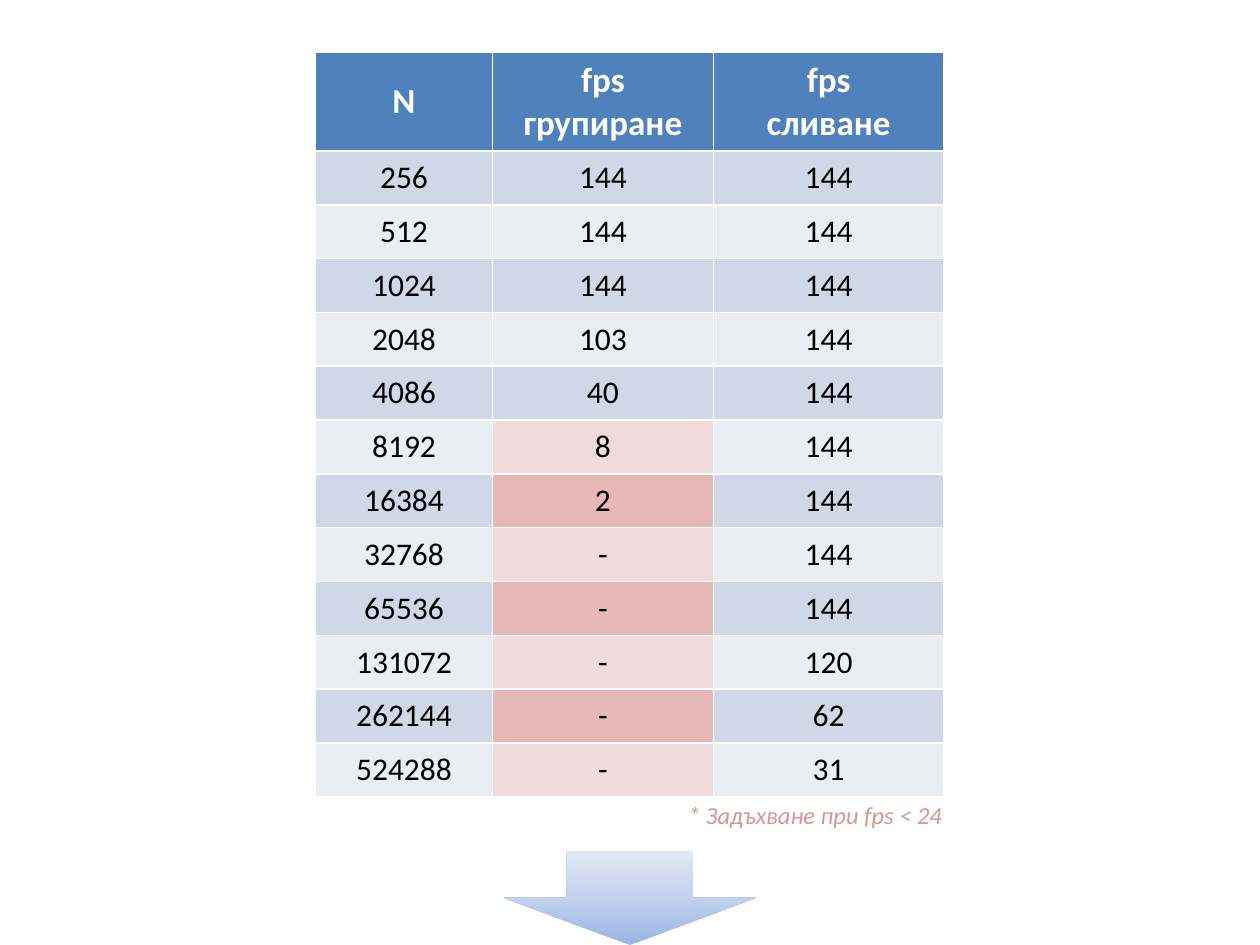
from copy import deepcopy

from pptx import Presentation
from pptx.dml.color import RGBColor as RGB
from pptx.enum.shapes import MSO_SHAPE as Shape
from pptx.enum.text import MSO_ANCHOR as Anchor, MSO_AUTO_SIZE as AutoSize, PP_ALIGN as Align
from pptx.oxml.ns import qn
from pptx.util import Cm, Pt

COLORS = {
    "header": "4F81BD", "header_text": "FFFFFF", "text": "000000", "note": "D99694",
    "odd": "D0D8E8", "even": "E9EDF4", "slow_odd": "E6B9B8", "slow_even": "F2DCDB",
    "arrow_tip": "9AB5E4", "arrow_middle": "C2D1ED", "arrow_top": "E1E8F5",
}
HEADER_FORMAT = {"name": "Calibri", "size": Pt(20), "bold": True}
BODY_FORMAT = {"name": "Calibri", "size": Pt(18), "bold": False}
NOTE_FORMAT = {"name": "Calibri", "size": Pt(14), "italic": True}
SMOOTH_FPS = 24

HEADERS = ("N", "fps групиране", "fps\nсливане")
RESULTS = [
    ("256", "144", "144"),
    ("512", "144", "144"),
    ("1024", "144", "144"),
    ("2048", "103", "144"),
    ("4086", "40", "144"),
    ("8192", "8", "144"),
    ("16384", "2", "144"),
    ("32768", "-", "144"),
    ("65536", "-", "144"),
    ("131072", "-", "120"),
    ("262144", "-", "62"),
    ("524288", "-", "31"),
]


def color(key):
    return RGB.from_string(COLORS[key])


def write_centered(frame, text, font_format, color_key):
    frame.text = text
    for paragraph in frame.paragraphs:
        paragraph.alignment = Align.CENTER
        for attribute, value in font_format.items():
            setattr(paragraph.font, attribute, value)
        paragraph.font.color.rgb = color(color_key)


deck = Presentation()
deck.slide_width, deck.slide_height = Cm(25.4), Cm(19.05)
slide = deck.slides.add_slide(deck.slide_layouts[6])

# Frame rates of the two methods
fps_table = slide.shapes.add_table(
    len(RESULTS) + 1, len(HEADERS), Cm(6.36), Cm(1.06), Cm(12.67), Cm(14.99)).table
for column, width in zip(fps_table.columns, (3.57, 4.45, 4.65)):
    column.width = Cm(width)
for row in fps_table.rows:
    row.height = Cm(1.085)
fps_table.rows[0].height = Cm(1.96)

for r, values in enumerate([HEADERS] + RESULTS):
    band = "odd" if r % 2 else "even"
    for c, value in enumerate(values):
        if r == 0:
            fill, font_format, text_color = "header", HEADER_FORMAT, "header_text"
        else:
            slow = c > 0 and (value == "-" or int(value) < SMOOTH_FPS)
            fill = f"slow_{band}" if slow else band
            font_format, text_color = BODY_FORMAT, "text"
        cell = fps_table.cell(r, c)
        cell.vertical_anchor = Anchor.MIDDLE
        cell.fill.solid()
        cell.fill.fore_color.rgb = color(fill)
        write_centered(cell.text_frame, value, font_format, text_color)

# Note on slow frame rates
note = slide.shapes.add_textbox(Cm(13.54), Cm(16), Cm(5.79), Cm(0.86)).text_frame
note.word_wrap = False
note.auto_size = AutoSize.SHAPE_TO_FIT_TEXT
write_centered(note, f"* Задъхване при fps < {SMOOTH_FPS}", NOTE_FORMAT, "note")

# Arrow leading on, darkest at the tip
arrow = slide.shapes.add_shape(Shape.DOWN_ARROW, Cm(10.16), Cm(17.15), Cm(5.08), Cm(1.9))
arrow.shadow.inherit = False
arrow.line.fill.background()
arrow.fill.gradient()
arrow.fill.gradient_angle = 90
stop_list = arrow.fill._xPr.find(qn("a:gradFill")).find(qn("a:gsLst"))
stop_list.append(deepcopy(stop_list[0]))
stops = zip(arrow.fill.gradient_stops, (0, 0.5, 1), ("arrow_tip", "arrow_middle", "arrow_top"))
for stop, position, key in stops:
    stop.position = position
    stop.color.rgb = color(key)

deck.save("out.pptx")
